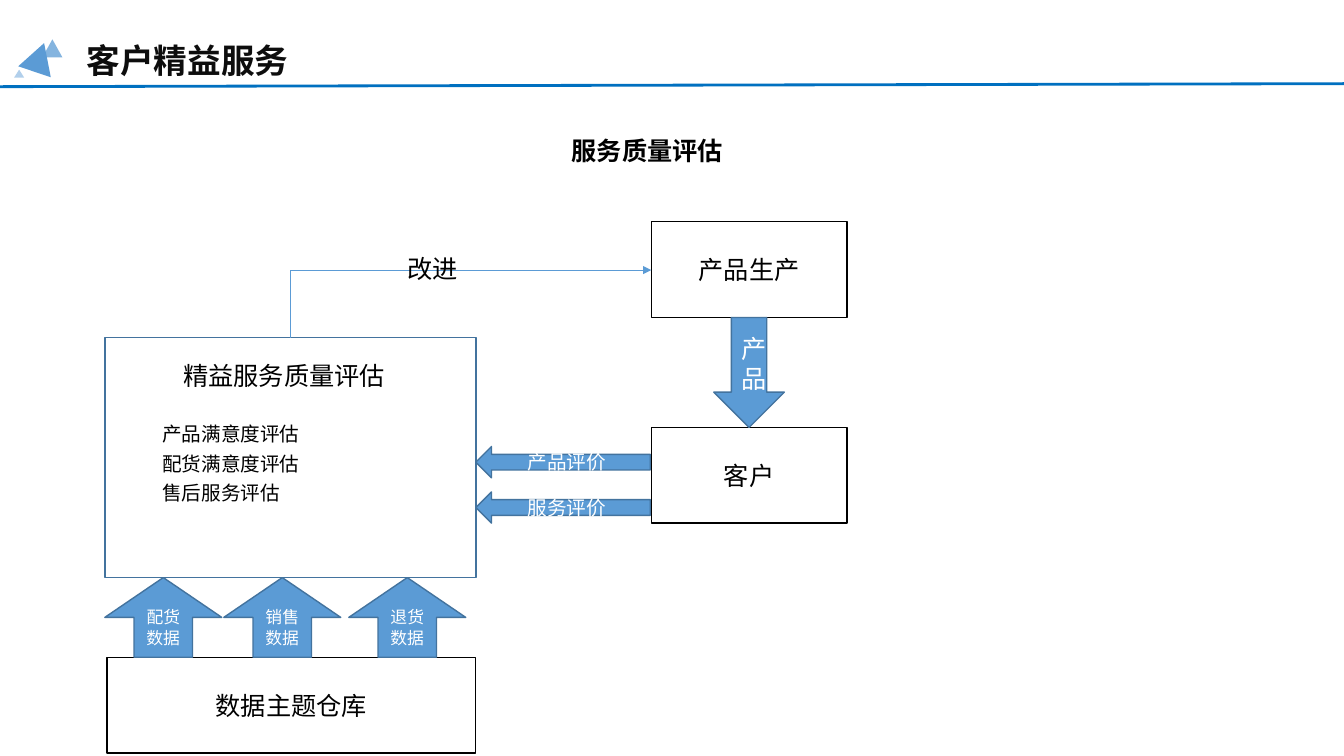
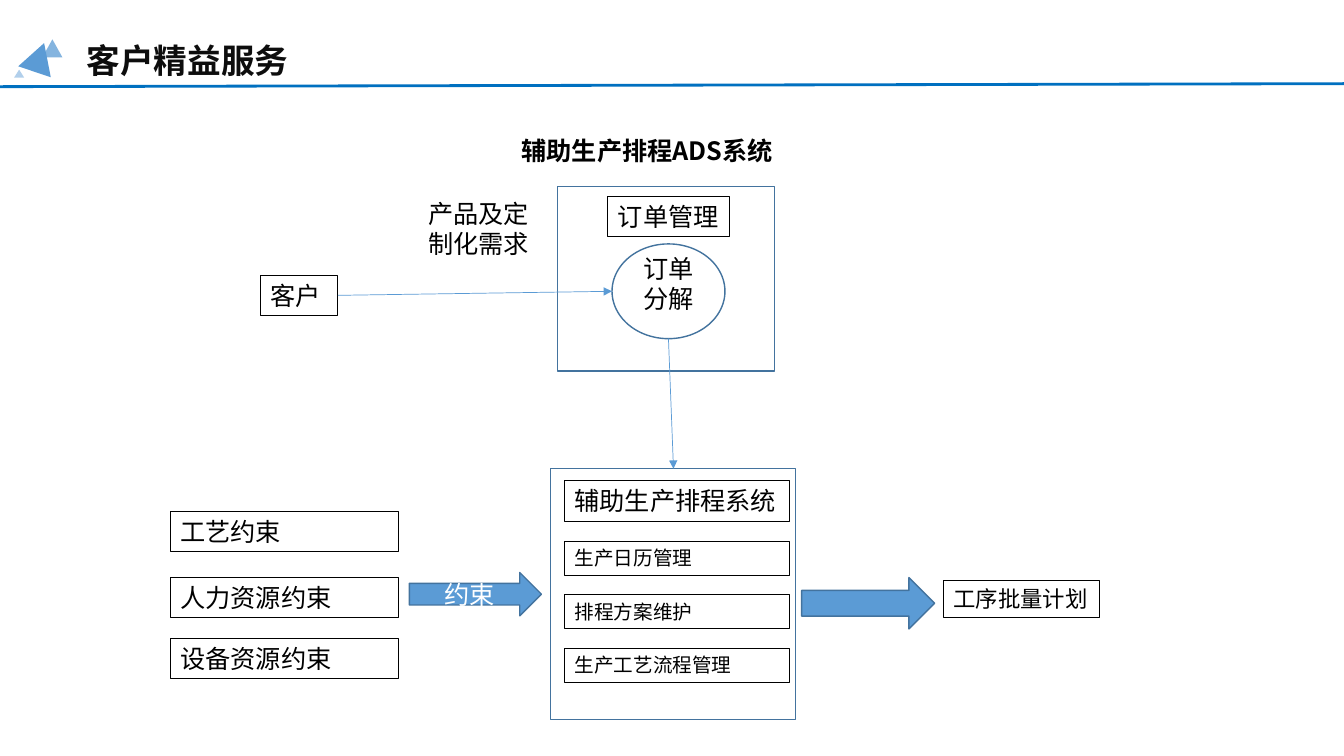
from lxml import etree
from pptx import Presentation
from pptx.dml.color import RGBColor
from pptx.enum.shapes import MSO_CONNECTOR as Connector, MSO_SHAPE as Shape
from pptx.enum.text import MSO_ANCHOR as Anchor, MSO_AUTO_SIZE as AutoSize, PP_ALIGN as Align
from pptx.oxml.ns import qn
from pptx.util import Inches, Pt

BLACK, WHITE, INK = "000000", "FFFFFF", "0D0D0D"
BLUE, BLUE_EDGE, RULE_BLUE = "5B9BD5", "43739E", "0070C0"
HEADING_FONT, BODY_FONT, PLAN_FONT = "Noto Sans CJK SC", "Calibri", "Arial"

TITLE = "客户精益服务"
TITLE_AREA = (0.76, 0.35, 5.2, 0.5)
HEADING_AREA = (3.74, 1.29, 5.36, 0.4)
RULE = (-0.03, 0.86, 13.33, 0.83)
# area, rotation, opacity in percent
TRIANGLES = [
    ((0.42, 0.39, 0.2, 0.18), 0, 75),
    ((0.22, 0.42, 0.34, 0.3), 18.5, 100),
    ((0.14, 0.69, 0.1, 0.08), 0, 47),
]

# fill, line colour, line width, text colour, alignment, anchor
STYLES = {
    "panel": (WHITE, BLUE_EDGE, 1, BLACK, Align.LEFT, Anchor.TOP),
    "node": (WHITE, BLACK, 1, BLACK, Align.CENTER, Anchor.MIDDLE),
    "arrow": (BLUE, BLUE_EDGE, 1, WHITE, Align.CENTER, Anchor.MIDDLE),
    "item": (None, BLACK, 0.75, BLACK, Align.LEFT, Anchor.TOP),
}

# Each part: style, preset, text, area, text size
QUALITY_HEADING = "服务质量评估"
CRITERIA = ["产品满意度评估", "配货满意度评估", "售后服务评估"]
QUALITY_PARTS = [
    ("panel", Shape.RECTANGLE, "", (1.04, 3.35, 3.68, 2.38), 18),
    ("node", Shape.RECTANGLE, "产品生产", (6.46, 2.2, 1.94, 0.95), 18),
    ("node", Shape.RECTANGLE, "客户", (6.46, 4.24, 1.94, 0.95), 18),
    ("node", Shape.RECTANGLE, "数据主题仓库", (1.06, 6.52, 3.66, 0.95), 18),
    ("arrow", Shape.DOWN_ARROW, "产品", (7.08, 3.15, 0.7, 1.09), 18),
] + [
    ("arrow", Shape.LEFT_ARROW, text, (4.72, top, 1.73, 0.31), 14)
    for text, top in [("产品评价", 4.43), ("服务评价", 4.88)]
] + [
    ("arrow", Shape.UP_ARROW, text, (left, 5.73, 1.16, 0.79), 12)
    for text, left in [("配货数据", 1.04), ("销售数据", 2.22), ("退货数据", 3.46)]
]
QUALITY_LABELS = [
    ("精益服务质量评估", (1.72, 3.53, 2.32, 0.4), 18),
    ("改进", (3.94, 2.46, 1.24, 0.4), 18),
] + [
    (text, (1.51, 4.14 + 0.29 * row, 2.32, 0.34), 14)
    for row, text in enumerate(CRITERIA)
]

SCHEDULING_HEADING = "辅助生产排程ADS系统"
FUNCTIONS = ["生产日历管理", "排程方案维护", "生产工艺流程管理"]
CONSTRAINTS = [("工艺约束", 5.07), ("人力资源约束", 5.73), ("设备资源约束", 6.33)]
SCHEDULING_PARTS = [
    ("panel", Shape.RECTANGLE, "", (5.53, 1.85, 2.15, 1.83), 18),
    ("panel", Shape.RECTANGLE, "", (5.46, 4.65, 2.43, 2.49), 18),
    ("panel", Shape.OVAL, "", (6.07, 2.42, 1.12, 0.94), 18),
    ("item", Shape.RECTANGLE, "客户", (2.58, 2.73, 0.77, 0.4), 18),
    ("item", Shape.RECTANGLE, "订单管理", (6.03, 1.95, 1.21, 0.4), 18),
    ("item", Shape.RECTANGLE, "辅助生产排程系统", (5.6, 4.77, 2.23, 0.4), 18),
    ("arrow", Shape.RIGHT_ARROW, "约束", (4.06, 5.68, 1.31, 0.43), 18),
    ("arrow", Shape.RIGHT_ARROW, "", (7.95, 5.73, 1.32, 0.51), 18),
] + [
    ("item", Shape.RECTANGLE, text, (5.6, 5.37 + 0.53 * row, 2.23, 0.34), 14)
    for row, text in enumerate(FUNCTIONS)
] + [
    ("item", Shape.RECTANGLE, text, (1.69, top, 2.26, 0.4), 18)
    for text, top in CONSTRAINTS
]
SCHEDULING_LABELS = [
    ("产品及定制化需求", (4.15, 1.92, 1.43, 0.71), 18),
    ("订单分解", (6.28, 2.46, 0.91, 0.71), 18),
]
PLAN = ("item", Shape.RECTANGLE, "工序批量计划", (9.36, 5.76, 1.55, 0.37), 16)


def color(value):
    return RGBColor.from_string(value)


def inches(values):
    return [Inches(value) for value in values]


def write(shape, text, size, text_color=BLACK, align=Align.LEFT, anchor=Anchor.TOP,
          font_name=BODY_FONT, bold=False):
    frame = shape.text_frame
    frame.word_wrap = True
    frame.auto_size = AutoSize.NONE
    frame.vertical_anchor = anchor
    frame.text = text
    paragraph = frame.paragraphs[0]
    paragraph.alignment = align
    for run in paragraph.runs:
        font = run.font
        font.size, font.bold, font.name = Pt(size), bold, font_name
        font.color.rgb = color(text_color)
        east_asian = etree.SubElement(run._r.get_or_add_rPr(), qn("a:ea"))
        east_asian.set("typeface", HEADING_FONT)


def add_part(slide, style, preset, text, area, size, font_name=BODY_FONT):
    fill, line, width, text_color, align, anchor = STYLES[style]
    shape = slide.shapes.add_shape(preset, *inches(area))
    shape.shadow.inherit = False
    if fill:
        shape.fill.solid()
        shape.fill.fore_color.rgb = color(fill)
    else:
        shape.fill.background()
    shape.line.color.rgb = color(line)
    shape.line.width = Pt(width)
    if text:
        write(shape, text, size, text_color, align, anchor, font_name)
    return shape


def add_label(slide, text, area, size, **text_format):
    write(slide.shapes.add_textbox(*inches(area)), text, size, **text_format)


def add_line(slide, ends, line_color, width, kind=Connector.STRAIGHT):
    line = slide.shapes.add_connector(kind, *inches(ends))
    line.line.color.rgb = color(line_color)
    line.line.width = Pt(width)
    etree.SubElement(line._element.spPr, qn("a:effectLst"))
    return line


def link(slide, source, source_site, target, target_site, ends, kind=Connector.STRAIGHT):
    """Draw an arrow glued to two shapes, with its ends at the given points."""
    arrow = add_line(slide, ends, BLUE, 0.5, kind)
    # The public connect methods know only four sites; an oval has eight.
    arrow._connect_begin_to(source, source_site)
    arrow._connect_end_to(target, target_site)
    etree.SubElement(arrow.line._get_or_add_ln(), qn("a:tailEnd")).set("type", "triangle")
    return arrow


def bend_up_then_right(connector):
    """Turn a connector that rises to the right into one with a single corner."""
    left, top, width, height = connector.left, connector.top, connector.width, connector.height
    connector.left = left + (width - height) // 2
    connector.top = top + (height - width) // 2
    connector.width, connector.height = height, width
    properties = connector._element.spPr
    properties.find(qn("a:prstGeom")).set("prst", "bentConnector2")
    transform = properties.find(qn("a:xfrm"))
    for name, value in [("rot", "5400000"), ("flipH", "1"), ("flipV", "1")]:
        transform.set(name, value)


def add_emblem(slide):
    group = slide.shapes.add_group_shape()
    for area, rotation, opacity in TRIANGLES:
        triangle = group.shapes.add_shape(Shape.ISOSCELES_TRIANGLE, *inches(area))
        triangle.shadow.inherit = False
        triangle.rotation = rotation
        triangle.line.fill.background()
        triangle.fill.solid()
        triangle.fill.fore_color.rgb = color(BLUE)
        if opacity < 100:
            rgb = triangle._element.spPr.find(qn("a:solidFill")).find(qn("a:srgbClr"))
            etree.SubElement(rgb, qn("a:alpha")).set("val", str(opacity * 1000))


def add_slide(presentation, heading, parts):
    """Add a slide with the shared header; return it and its parts by order."""
    slide = presentation.slides.add_slide(presentation.slide_layouts[5])
    title = slide.shapes.title
    title.left, title.top, title.width, title.height = inches(TITLE_AREA)
    write(title, TITLE, 24, INK, font_name=HEADING_FONT, bold=True)
    add_emblem(slide)
    add_line(slide, RULE, RULE_BLUE, 2)
    add_label(slide, heading, HEADING_AREA, 18, align=Align.CENTER,
              font_name=HEADING_FONT, bold=True)
    return slide, [add_part(slide, *part) for part in parts]


def add_quality_slide(presentation):
    slide, shapes = add_slide(presentation, QUALITY_HEADING, QUALITY_PARTS)
    assessment, production = shapes[:2]
    improvement = link(slide, assessment, 0, production, 1,
                       (2.88, 3.35, 6.46, 2.68), Connector.ELBOW)
    bend_up_then_right(improvement)
    for label in QUALITY_LABELS:
        add_label(slide, *label)


def add_scheduling_slide(presentation):
    slide, shapes = add_slide(presentation, SCHEDULING_HEADING, SCHEDULING_PARTS)
    scheduling, breakdown, customer = shapes[1:4]
    link(slide, customer, 3, breakdown, 2, (3.35, 2.93, 6.07, 2.89))
    link(slide, breakdown, 4, scheduling, 0, (6.63, 3.36, 6.68, 4.65))
    plan = add_part(slide, *PLAN, font_name=PLAN_FONT)
    plan.text_frame.word_wrap = False
    for label in SCHEDULING_LABELS:
        add_label(slide, *label)


def main():
    presentation = Presentation()
    presentation.slide_width, presentation.slide_height = Inches(13.33), Inches(7.5)
    add_quality_slide(presentation)
    add_scheduling_slide(presentation)
    presentation.save("out.pptx")


if __name__ == "__main__":
    main()
